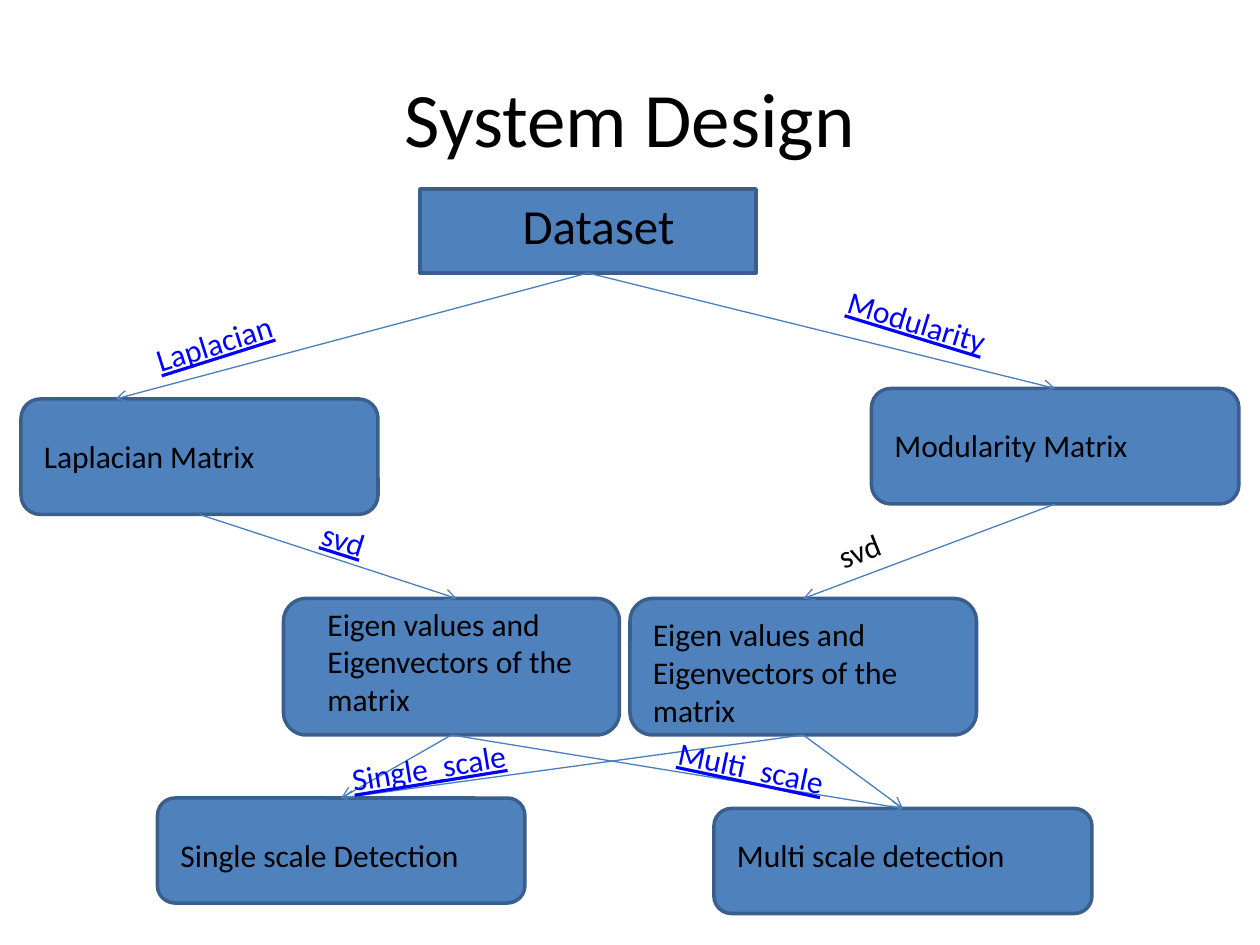
from lxml import etree
from pptx import Presentation
from pptx.dml.color import RGBColor
from pptx.enum.shapes import MSO_CONNECTOR, MSO_SHAPE
from pptx.enum.text import MSO_ANCHOR, PP_ALIGN
from pptx.oxml.ns import qn
from pptx.util import Pt

PX = 9525  # 96 px to the inch
FONT = "Calibri"
COLORS = {"fill": "4F81BD", "outline": "3A5F8C", "arrow": "4B7EBC",
          "text": "000000", "link": "0000FF"}
RECT, ROUNDED = MSO_SHAPE.RECTANGLE, MSO_SHAPE.ROUNDED_RECTANGLE
LEFT, CENTER = PP_ALIGN.LEFT, PP_ALIGN.CENTER
TOP, MIDDLE = MSO_ANCHOR.TOP, MSO_ANCHOR.MIDDLE
STRAIGHT = MSO_CONNECTOR.STRAIGHT
TOP_SITE, BOTTOM_SITE = 0, 2


def emu(*lengths):
    return [length * PX for length in lengths]


def color(name):
    return RGBColor.from_string(COLORS[name])


def add_text(slide, box, text, size=18, align=LEFT, anchor=TOP, rotation=0, link=False):
    label = slide.shapes.add_textbox(*emu(*box))
    label.rotation = rotation
    frame = label.text_frame
    frame.word_wrap = True
    frame.vertical_anchor = anchor
    frame.text = text
    paragraph = frame.paragraphs[0]
    paragraph.alignment = align
    font = paragraph.runs[0].font
    font.name, font.size = FONT, Pt(size)
    font.color.rgb = color("link" if link else "text")
    if link:
        font.underline = True


def add_node(slide, box, inset, text, kind=ROUNDED, size=18, align=LEFT):
    """Draw a box with its label; inset is the label's dx, dy, width, height."""
    left, top, width, height = box
    node = slide.shapes.add_shape(kind, *emu(*box))
    node.shadow.inherit = False
    node.fill.solid()
    node.fill.fore_color.rgb = color("fill")
    node.line.color.rgb = color("outline")
    node.line.width = Pt(2)
    dx, dy, label_width, label_height = inset
    add_text(slide, (left + dx, top + dy, label_width, label_height), text, size, align)
    return node


def add_arrow(slide, source, target=None, point=(0, 0)):
    """Run from the source's bottom to the target's top, or to a free point."""
    arrow = slide.shapes.add_connector(STRAIGHT, *emu(0, 0, *point))
    arrow.begin_connect(source, BOTTOM_SITE)
    if target is not None:
        arrow.end_connect(target, TOP_SITE)
    arrow.line.color.rgb = color("arrow")
    arrow.line.width = Pt(0.75)
    etree.SubElement(arrow.line._get_or_add_ln(), qn("a:tailEnd"), type="arrow")
    etree.SubElement(arrow._element.spPr, qn("a:effectLst"))


def add_flow(slide, box):
    """Draw the flow from the dataset down to the two detections."""
    x, y = box[:2]

    def node(left, top, width, height, *args, **options):
        return add_node(slide, (x + left, y + top, width, height), *args, **options)

    dataset = node(304, 0, 256, 64, (16, 0, 240, 55), "Dataset",
                   kind=RECT, size=28, align=CENTER)
    laplacian = node(0, 160, 272, 88, (8, 24, 256, 40), "Laplacian Matrix")
    modularity = node(648, 152, 280, 88, (8, 24, 264, 38), "Modularity Matrix")
    eigen_text = "Eigen values and Eigenvectors of the matrix"
    eigen_left = node(200, 312, 256, 104, (24, 0, 216, 97), eigen_text)
    eigen_right = node(464, 312, 264, 104, (8, 8, 232, 97), eigen_text)
    single = node(104, 464, 280, 80, (8, 24, 248, 38), "Single scale Detection")
    multi = node(528, 472, 288, 80, (8, 16, 264, 38), "Multi scale detection")

    add_arrow(slide, dataset, point=(x + 72, y + 160))
    add_arrow(slide, dataset, modularity)
    add_arrow(slide, laplacian, point=(x + 332, y + 312))
    add_arrow(slide, modularity, eigen_right)
    for eigen in (eigen_left, eigen_right):
        for detection in (single, multi):
            add_arrow(slide, eigen, detection)

    steps = [
        ("Laplacian", 88, 70, 296, 40, -17.5, True),
        ("Modularity", 616, 104, 280, 38, 17, True),
        ("Single_scale", 241, 408, 304, 38, -9.2, True),
        ("Multi_scale", 489, 439, 304, 38, 11.9, True),
        ("svd", 216, 276, 240, 38, 17.6, True),
        ("svd", 604, 208, 312, 40, -21.6, False),
    ]
    for text, left, top, width, height, rotation, link in steps:
        add_text(slide, (x + left, y + top, width, height), text,
                 rotation=rotation, link=link)


def main():
    deck = Presentation()
    deck.slide_width, deck.slide_height = emu(960, 720)
    slide = deck.slides.add_slide(deck.slide_layouts[6])
    add_text(slide, (48, 29, 864, 120), "System Design", 44, CENTER, MIDDLE)
    add_flow(slide, (16, 144, 928, 552))
    deck.save("out.pptx")


if __name__ == "__main__":
    main()
